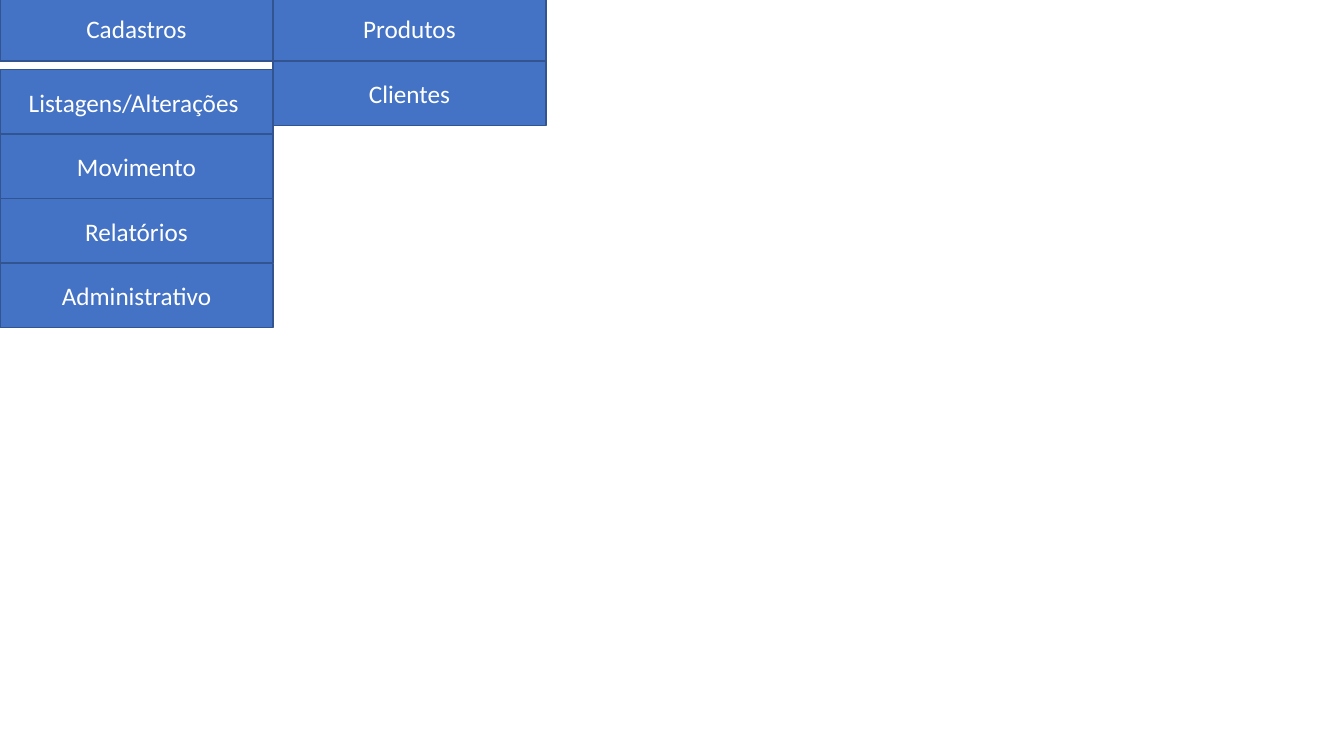
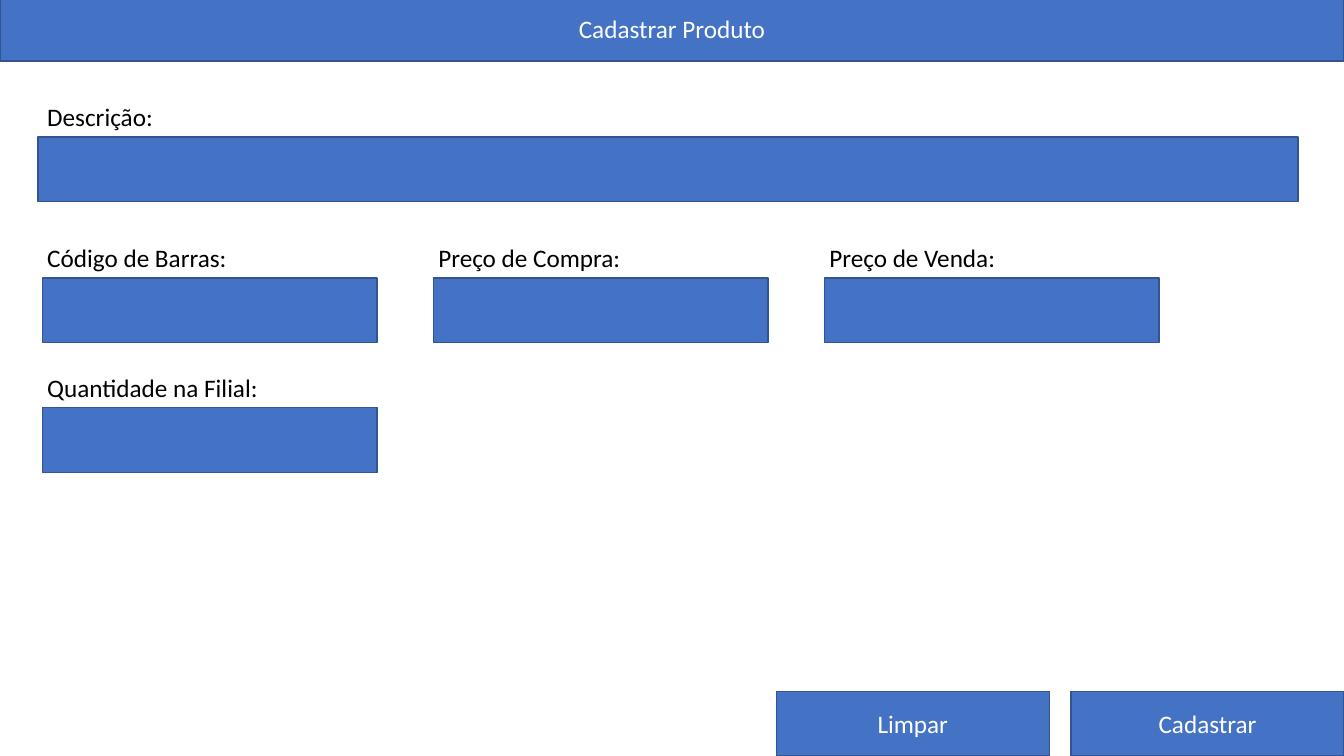
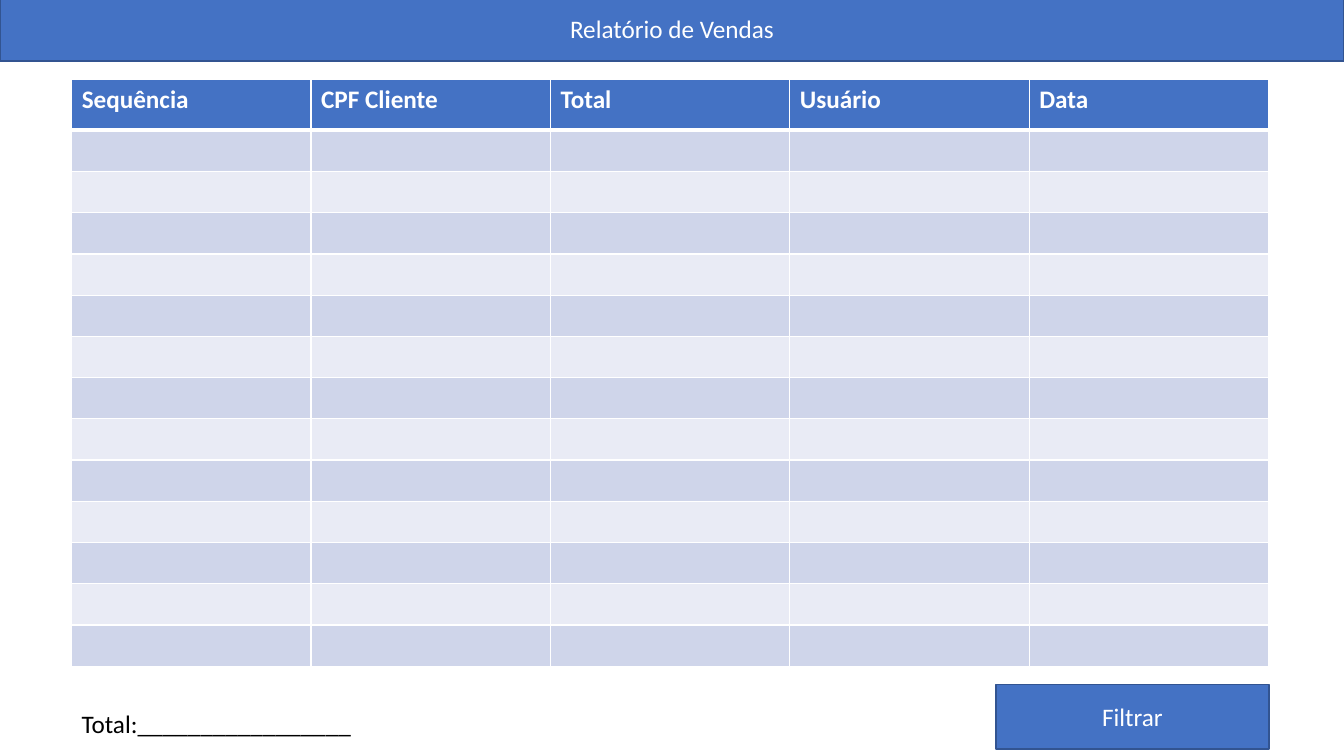
from lxml.etree import SubElement
from pptx import Presentation
from pptx.dml.color import RGBColor
from pptx.enum.shapes import MSO_SHAPE as Preset
from pptx.enum.text import MSO_ANCHOR as Anchor, MSO_AUTO_SIZE as Fit, PP_ALIGN as Align
from pptx.oxml.ns import qn
from pptx.util import Pt

WIDTH, HEIGHT = 960, 540
BAR_TOP, BAR_HEIGHT, BUTTON_WIDTH = -2.58, 46.08, 195
LABEL_LEFT, LABEL_HEIGHT = 26.64, 29.08
FIELD_LEFT, FIELD_WIDTH, FIELD_PITCH = 30.24, 239, 279.36
TABLE_LEFT, TABLE_TOP, COLUMN_WIDTH = 51.2, 57, 171
HEADER_HEIGHT, ROW_HEIGHT, BODY_ROWS = 36, 29.46, 13


def colour(code):
    """Turn a hex string into a colour."""
    return RGBColor.from_string(code)


def assign(target, values):
    """Set each attribute named in a dict of format values."""
    for name, value in values.items():
        setattr(target, name, value)


class Mockup:
    """Hold the shared style and the page being drawn."""

    BLUE, EDGE, WHITE, BLACK = "4472C4", "325491", "FFFFFF", "000000"
    BANDS = ("E9EBF5", "CFD5EA")
    FONT = {"name": "Calibri", "size": Pt(18), "bold": False}
    CENTRED = {"word_wrap": True, "auto_size": Fit.NONE, "vertical_anchor": Anchor.MIDDLE}
    LABEL = {"word_wrap": True, "auto_size": Fit.SHAPE_TO_FIT_TEXT}

    def __init__(self):
        """Start an empty widescreen deck."""
        self.deck = Presentation()
        assign(self.deck, {"slide_width": Pt(WIDTH), "slide_height": Pt(HEIGHT)})
        self.page = None

    def new_page(self, title=None):
        """Add a page, with a title bar when a title is given."""
        self.page = self.deck.slides.add_slide(self.deck.slide_layouts[5 if title else 6])
        if title:
            bar = self.page.shapes.title
            assign(bar, {"left": 0, "top": Pt(BAR_TOP),
                         "width": Pt(WIDTH), "height": Pt(BAR_HEIGHT)})
            self.paint(bar, title)

    def put_text(self, frame, text, ink, bold=False, align=Align.LEFT):
        """Put one styled paragraph in a text frame."""
        para = frame.paragraphs[0]
        para.alignment = align
        span = para.add_run()
        span.text = text
        assign(span.font, {**self.FONT, "bold": bold})
        span.font.color.rgb = colour(ink)

    def paint(self, box, text):
        """Give a box the blue style and centred white text."""
        box.fill.solid()
        box.fill.fore_color.rgb = colour(self.BLUE)
        box.line.color.rgb = colour(self.EDGE)
        box.line.width = Pt(1)
        assign(box.text_frame, self.CENTRED)
        if text:
            self.put_text(box.text_frame, text, self.WHITE, align=Align.CENTER)

    def box(self, left, top, width=BUTTON_WIDTH, text=""):
        """Draw a blue rectangle of the shared height."""
        box = self.page.shapes.add_shape(
            Preset.RECTANGLE, Pt(left), Pt(top), Pt(width), Pt(BAR_HEIGHT))
        box.shadow.inherit = False
        self.paint(box, text)

    def menu(self, left, top, items):
        """Stack menu buttons edge to edge."""
        for index, item in enumerate(items):
            self.box(left, top + index * BAR_HEIGHT, text=item)

    def label(self, left, top, width, text):
        """Place a black label."""
        box = self.page.shapes.add_textbox(Pt(left), Pt(top), Pt(width), Pt(LABEL_HEIGHT))
        assign(box.text_frame, self.LABEL)
        self.put_text(box.text_frame, text, self.BLACK)

    def field(self, text, top, column=0, left=FIELD_LEFT, width=FIELD_WIDTH):
        """Draw an input field under its label."""
        shift = column * FIELD_PITCH
        self.label(LABEL_LEFT + shift, top, 170, text)
        self.box(left + shift, top + LABEL_HEIGHT, width)

    def borders(self, cell, row):
        """Draw white cell borders, thicker below the header."""
        thick = {(0, "lnB"), (1, "lnT")}
        for side in ("lnL", "lnR", "lnT", "lnB"):
            weight = Pt(3 if (row, side) in thick else 1)
            line = SubElement(cell._tc.get_or_add_tcPr(), qn(f"a:{side}"), w=str(int(weight)))
            SubElement(SubElement(line, qn("a:solidFill")), qn("a:srgbClr"), val=self.WHITE)

    def table(self, headings):
        """Draw a banded table with empty body rows."""
        table = self.page.shapes.add_table(
            BODY_ROWS + 1, len(headings), Pt(TABLE_LEFT), Pt(TABLE_TOP),
            Pt(COLUMN_WIDTH * len(headings)),
            Pt(HEADER_HEIGHT + BODY_ROWS * ROW_HEIGHT)).table
        for column in table.columns:
            column.width = Pt(COLUMN_WIDTH)
        for index, row in enumerate(table.rows):
            row.height = Pt(ROW_HEIGHT if index else HEADER_HEIGHT)
            for cell, heading in zip(row.cells, headings):
                self.borders(cell, index)
                cell.fill.solid()
                cell.fill.fore_color.rgb = colour(self.BANDS[index % 2] if index else self.BLUE)
                if index:
                    assign(cell.text_frame.paragraphs[0].font, self.FONT)
                else:
                    self.put_text(cell.text_frame, heading, self.WHITE, bold=True)


def main():
    """Build the three screens and save the deck."""
    mockup = Mockup()

    mockup.new_page()
    mockup.menu(0, BAR_TOP, ["Cadastros"])
    mockup.menu(BUTTON_WIDTH, BAR_TOP, ["Produtos", "Clientes"])
    mockup.menu(0, 49.8, ["Listagens/Alterações ", "Movimento", "Relatórios", "Administrativo"])

    mockup.new_page("Cadastrar Produto")
    mockup.field("Descrição:", 68.9, left=27.2, width=900)
    for column, name in enumerate(["Código de Barras:", "Preço de Compra:", "Preço de Venda:"]):
        mockup.field(name, 169.6, column)
    mockup.field("Quantidade na Filial:", 262.2)
    for left, name in ((554.5, "Limpar"), (WIDTH - BUTTON_WIDTH, "Cadastrar")):
        mockup.box(left, HEIGHT - BAR_HEIGHT, text=name)

    mockup.new_page("Relatório de Vendas")
    mockup.box(711.4, 489, text="Filtrar")
    mockup.table(["Sequência", "CPF Cliente", "Total", "Usuário", "Data"])
    mockup.label(TABLE_LEFT, 502.6, 244, "Total:_________________")

    mockup.deck.save("out.pptx")


if __name__ == "__main__":
    main()
